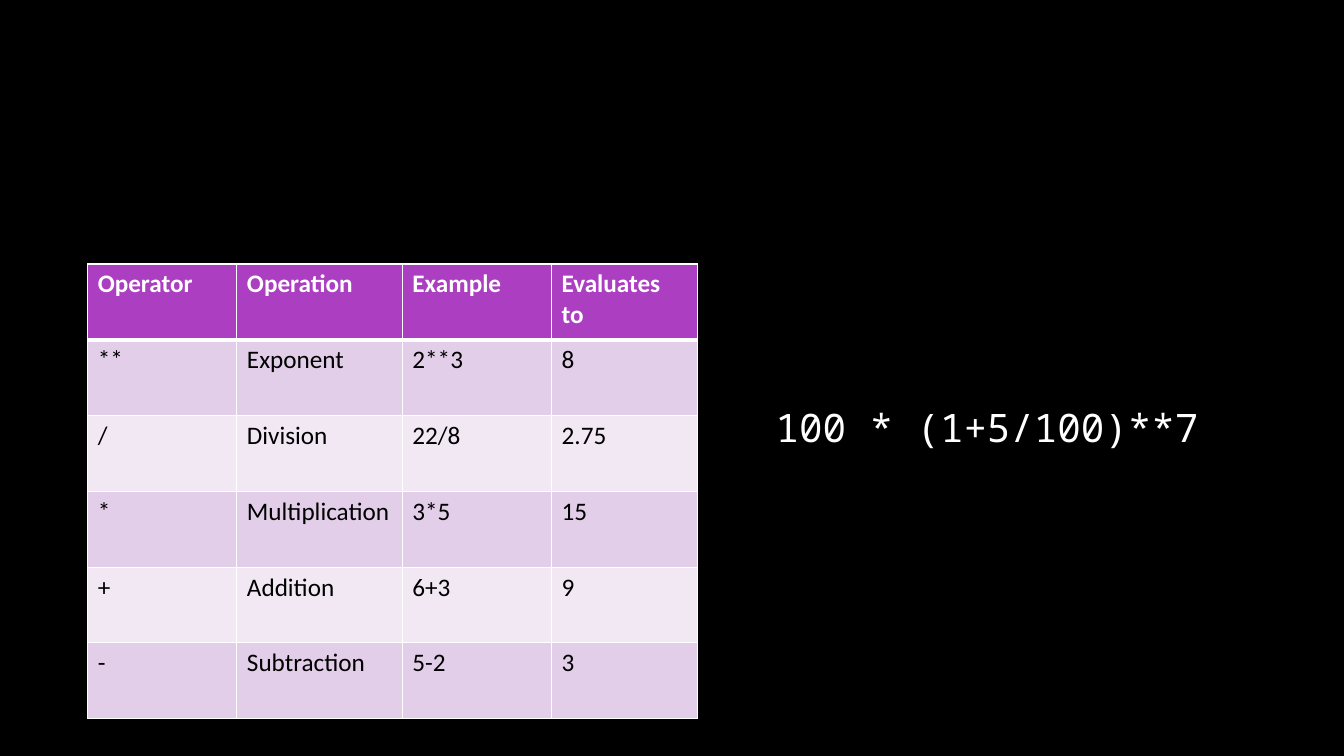
"""Build a slide with a table of arithmetic operators and a sample formula."""
from dataclasses import dataclass

from lxml import etree
from pptx import Presentation
from pptx import util as u
from pptx.dml.color import RGBColor
from pptx.enum import text
from pptx.oxml.ns import qn


@dataclass(frozen=True)
class Theme:
    back: str = "000000"
    light: str = "FFFFFF"
    dark: str = "000000"
    head: str = "AC3EC1"
    bands: tuple = ("E3CEE9", "F1E8F4")
    body: str = "Calibri"
    mono: str = "Noto Sans Mono"
    small: int = 18
    large: int = 28
    thin: int = 1
    thick: int = 3


THEME = Theme()
WIDTHS = (3.76, 4.17, 3.76, 3.68)
HEIGHT = 1.91
ROWS = (
    ("Operator", "Operation", "Example", "Evaluates to"),
    ("**", "Exponent", "2**3", "8"),
    ("/", "Division", "22/8", "2.75"),
    ("*", "Multiplication", "3*5", "15"),
    ("+", "Addition", "6+3", "9"),
    ("-", "Subtraction", "5-2", "3"),
)


def paint(fill, color):
    fill.solid()
    fill.fore_color.rgb = RGBColor.from_string(color)


def write(frame, words, face, size, color, bold=False):
    run = frame.paragraphs[0].add_run()
    run.text = words
    font = run.font
    font.name, font.size, font.bold = face, u.Pt(size), bold
    font.color.rgb = RGBColor.from_string(color)


def edge(cell, side, width):
    props = cell._tc.get_or_add_tcPr()
    line = etree.SubElement(props, qn(f"a:ln{side}"), w=str(u.Pt(width)))
    fill = etree.SubElement(line, qn("a:solidFill"))
    etree.SubElement(fill, qn("a:srgbClr"), val=THEME.light)


def style(cell, words, row):
    top = row == 0
    above = THEME.thick if row == 1 else THEME.thin
    below = THEME.thick if top else THEME.thin
    for side, width in zip("LRTB", (THEME.thin, THEME.thin, above, below)):
        edge(cell, side, width)
    paint(cell.fill, THEME.head if top else THEME.bands[(row - 1) % 2])
    color = THEME.light if top else THEME.dark
    write(cell.text_frame, words, THEME.body, THEME.small, color, top)


def add_grid(slide, left, top):
    size = u.Cm(sum(WIDTHS)), u.Cm(HEIGHT * len(ROWS))
    frame = slide.shapes.add_table(
        len(ROWS), len(WIDTHS), u.Cm(left), u.Cm(top), *size)
    grid = frame.table
    for col, width in zip(grid.columns, WIDTHS):
        col.width = u.Cm(width)
    for row, words in enumerate(ROWS):
        grid.rows[row].height = u.Cm(HEIGHT)
        for col, word in enumerate(words):
            style(grid.cell(row, col), word, row)


def add_code(slide, words, *place):
    box = slide.shapes.add_textbox(*map(u.Cm, place))
    frame = box.text_frame
    frame.word_wrap = True
    frame.auto_size = text.MSO_AUTO_SIZE.SHAPE_TO_FIT_TEXT
    write(frame, words, THEME.mono, THEME.large, THEME.light)


def main():
    deck = Presentation()
    deck.slide_width, deck.slide_height = u.Cm(33.87), u.Cm(19.05)
    slide = deck.slides.add_slide(deck.slide_layouts[6])
    paint(slide.background.fill, THEME.back)
    add_code(slide, "100 * (1+5/100)**7", 19.3, 10.03, 18.75, 1.45)
    add_grid(slide, 2.21, 6.65)
    deck.save("out.pptx")


main()
